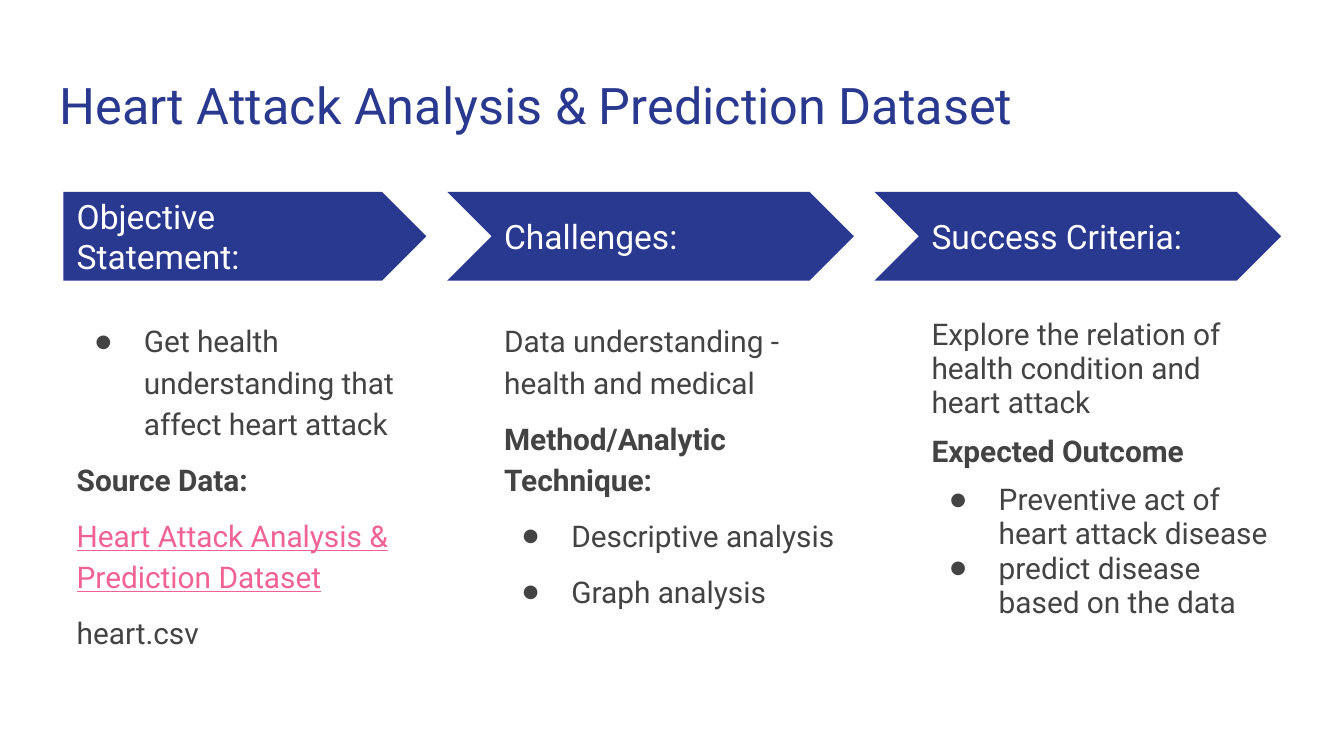
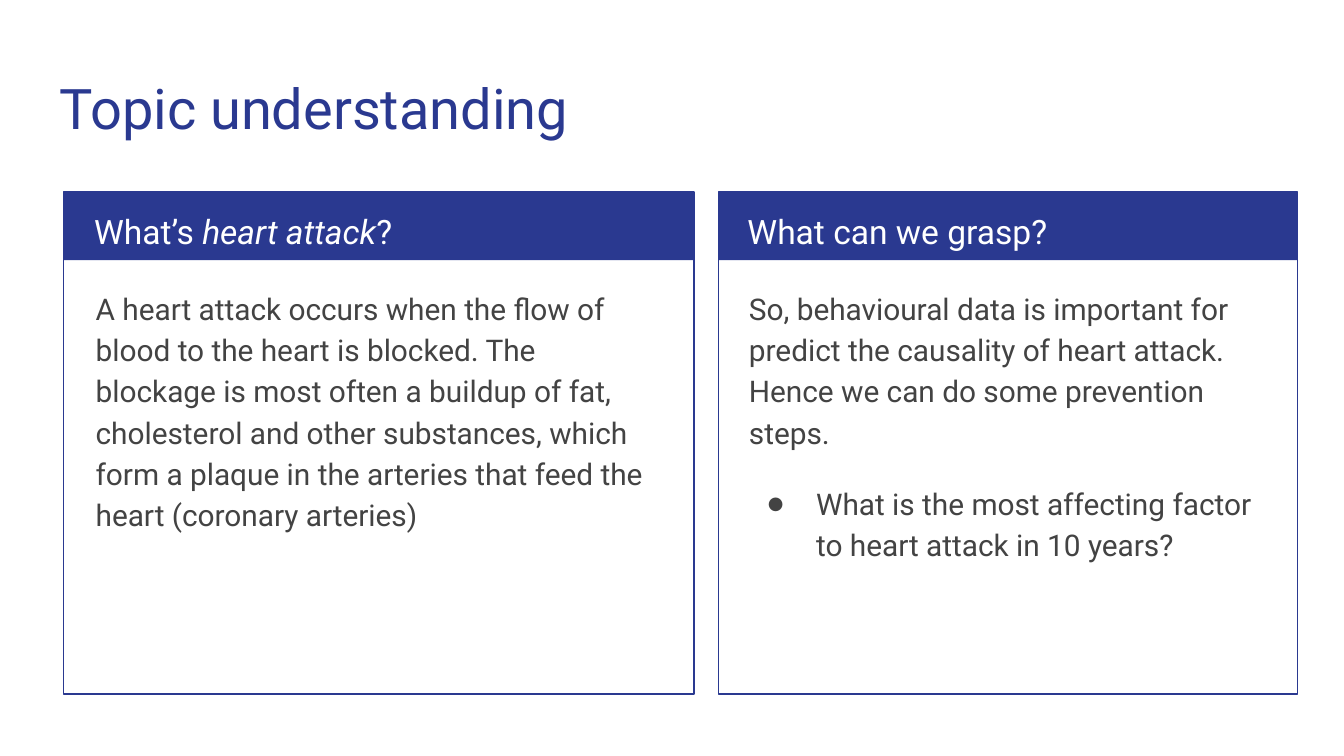
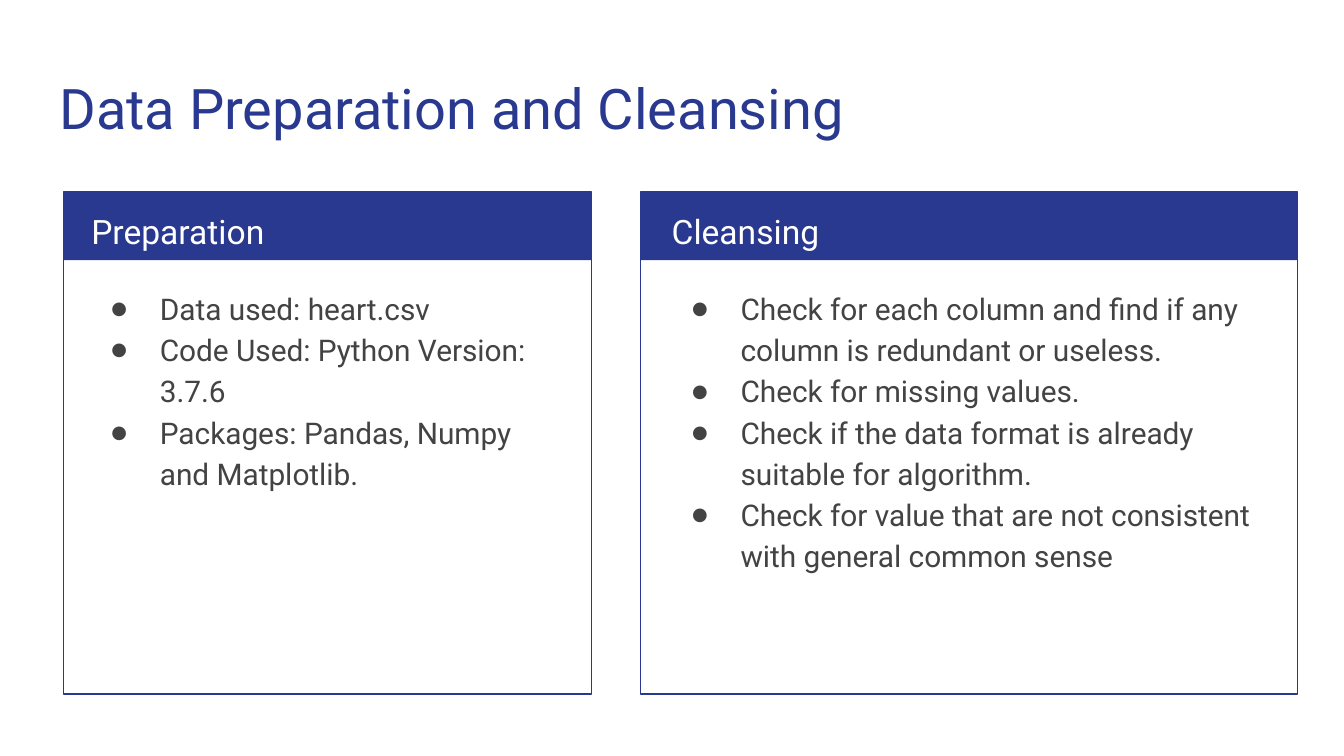
from dataclasses import dataclass

from lxml import etree
from pptx import Presentation
from pptx.dml.color import RGBColor
from pptx.enum.shapes import MSO_SHAPE
from pptx.enum.text import MSO_ANCHOR
from pptx.oxml.ns import qn
from pptx.util import Inches, Pt

PENTAGON = MSO_SHAPE.PENTAGON
CHEVRON = MSO_SHAPE.CHEVRON
RECTANGLE = MSO_SHAPE.RECTANGLE
TOP, MIDDLE = MSO_ANCHOR.TOP, MSO_ANCHOR.MIDDLE

COLORS = {"navy": "2A3990", "text": "434343", "link": "F06292", "white": "FFFFFF"}
FONT = "Roboto"
SLIDE_WIDTH = Inches(10)
SLIDE_HEIGHT = SLIDE_WIDTH * 9 // 16

# The grid has square cells, 100 of them across the slide.
CELL = SLIDE_WIDTH / 100
MARGIN = 4.73
RIGHT_EDGE = 96.55
BAND_TOP = 14.28
INSET = 1
BULLET_INDENT, BULLET_HANG = 5, 3.6
BULLET_SCALE = "60000"

# Steps: arrows with a text column under each
STEP_PITCH = 31.8
STEP_WIDTH = 27
NOTCH = 3.25
ARROW_HEIGHT = 6.6

# Panels: a framed box with a header band
HEADER_HEIGHT = 5.08
PANEL_HEIGHT = 37.35


@dataclass
class Run:
    text: str
    color: str = "text"
    bold: bool = False
    italic: bool = False
    underline: bool = False


@dataclass
class Para:
    runs: list
    size: int = 16
    bullet: bool = False
    spacing: float = 1.15
    before: int = 0
    after: int = 0


def body(text, bold=False, **layout):
    return Para([Run(text, bold=bold)], **layout)


def bullets(*texts, **layout):
    return [body(text, bullet=True, **layout) for text in texts]


def cells(*counts):
    return [round(count * CELL) for count in counts]


def rgb(name):
    return RGBColor.from_string(COLORS[name])


def add_bullet(paragraph):
    props = paragraph._p.get_or_add_pPr()
    indent, hang = cells(BULLET_INDENT, BULLET_HANG)
    props.set("marL", str(indent))
    props.set("indent", str(-hang))
    color = etree.SubElement(props, qn("a:buClr"))
    etree.SubElement(color, qn("a:srgbClr"), val=COLORS["text"])
    etree.SubElement(props, qn("a:buSzPct"), val=BULLET_SCALE)
    etree.SubElement(props, qn("a:buFont"), typeface=FONT)
    etree.SubElement(props, qn("a:buChar"), char="●")


def add_text(slide, left, top, width, height, paras, anchor=TOP):
    frame = slide.shapes.add_textbox(*cells(left, top, width, height)).text_frame
    frame.word_wrap = True
    frame.vertical_anchor = anchor
    inset, = cells(INSET)
    frame.margin_left = frame.margin_right = inset
    frame.margin_top = frame.margin_bottom = inset
    for index, para in enumerate(paras):
        paragraph = frame.add_paragraph() if index else frame.paragraphs[0]
        paragraph.line_spacing = para.spacing
        paragraph.space_before = Pt(para.before)
        paragraph.space_after = Pt(para.after)
        if para.bullet:
            add_bullet(paragraph)
        for part in para.runs:
            run = paragraph.add_run()
            run.text = part.text
            font = run.font
            font.name, font.size = FONT, Pt(para.size)
            font.bold, font.italic = part.bold, part.italic
            font.underline = part.underline
            font.color.rgb = rgb(part.color)


def add_block(slide, kind, left, top, width, height, filled=True):
    """A solid navy shape, or only its thin navy outline."""
    block = slide.shapes.add_shape(kind, *cells(left, top, width, height))
    block.shadow.inherit = False
    if filled:
        block.fill.solid()
        block.fill.fore_color.rgb = rgb("navy")
        block.line.fill.background()
    else:
        block.fill.background()
        block.line.color.rgb = rgb("navy")
        block.line.width = Pt(0.75)


def add_titled_slide(deck, title, size=30):
    slide = deck.slides.add_slide(deck.slide_layouts[6])
    heading = Para([Run(title, "navy")], size=size, spacing=1)
    add_text(slide, 3.44, 4.5, 93.2, 6.6, [heading])
    return slide


def add_step(slide, index, heading, paras):
    left = MARGIN + index * STEP_PITCH
    notch = NOTCH if index else 0
    add_block(slide, CHEVRON if index else PENTAGON,
              left - notch, BAND_TOP, STEP_WIDTH + notch, ARROW_HEIGHT)
    label = Para([Run(heading, "white")], size=18, spacing=1)
    add_text(slide, left, BAND_TOP + 1.6, 24.7, 3.4, [label], MIDDLE)
    add_text(slide, left, 22.65, STEP_WIDTH, 29, paras)


def add_panel(slide, left, width, heading, paras):
    add_block(slide, RECTANGLE, left, BAND_TOP, width, HEADER_HEIGHT)
    add_block(slide, RECTANGLE, left, BAND_TOP, width, PANEL_HEIGHT, filled=False)
    add_text(slide, left + 0.0275 * width, BAND_TOP, 0.95 * width, 5,
             [Para(heading, size=18)])
    add_text(slide, left + 0.03 * width, 20.24, 0.943 * width, 30.6, paras)


def add_panel_pair(slide, first_width, second_width, first, second):
    """Two panels, set against the left margin and the right edge."""
    add_panel(slide, MARGIN, first_width, *first)
    add_panel(slide, RIGHT_EDGE - second_width, second_width, *second)


def build_overview(deck):
    title = "Heart Attack Analysis & Prediction Dataset"
    slide = add_titled_slide(deck, title, size=27)
    steps = [
        ("Objective Statement:", [
            *bullets("Get health understanding that affect heart attack"),
            body("Source Data:", bold=True, before=8),
            Para([Run(title, "link", underline=True)], before=8),
            body("heart.csv", before=8, after=8),
        ]),
        ("Challenges:", [
            body("Data understanding - health and medical"),
            body("Method/Analytic Technique:", bold=True, before=8),
            *bullets("Descriptive analysis", "Graph analysis", before=8),
        ]),
        ("Success Criteria:", [
            body("Explore the relation of health condition and heart attack",
                 spacing=0.95),
            body("Expected Outcome", bold=True, spacing=0.95, before=8),
            *bullets("Preventive act of heart attack disease", spacing=0.95, before=8),
            *bullets("predict disease based on the data", spacing=0.95),
        ]),
    ]
    for index, (heading, paras) in enumerate(steps):
        add_step(slide, index, heading, paras)


def build_topic(deck):
    slide = add_titled_slide(deck, "Topic understanding")
    definition = body(
        "A heart attack occurs when the flow of blood to the heart is blocked. "
        "The blockage is most often a buildup of fat, cholesterol and other "
        "substances, which form a plaque in the arteries that feed the heart "
        "(coronary arteries)", after=16)
    question = [Run("What’s ", "white"),
                Run("heart attack", "white", italic=True),
                Run("?", "white")]
    lessons = [
        body("So, behavioural data is important for predict the causality of "
             "heart attack. Hence we can do some prevention steps."),
        *bullets("What is the most affecting factor to heart attack in 10 years?",
                 before=16),
    ]
    add_panel_pair(slide, 46.9, 43.1, (question, [definition]),
                   ([Run("What can we grasp?", "white")], lessons))


def build_preparation(deck):
    slide = add_titled_slide(deck, "Data Preparation and Cleansing")
    preparation = bullets(
        "Data used: heart.csv",
        "Code Used: Python Version: 3.7.6",
        "Packages: Pandas, Numpy and Matplotlib.",
    )
    cleansing = bullets(
        "Check for each column and find if any column is redundant or useless.",
        "Check for missing values.",
        "Check if the data format is already suitable for algorithm.",
        "Check for value that are not consistent with general common sense",
    )
    add_panel_pair(slide, 39.3, 48.9,
                   ([Run("Preparation", "white")], preparation),
                   ([Run("Cleansing", "white")], cleansing))


def main():
    deck = Presentation()
    deck.slide_width, deck.slide_height = SLIDE_WIDTH, SLIDE_HEIGHT
    build_overview(deck)
    build_topic(deck)
    build_preparation(deck)
    deck.save("out.pptx")


if __name__ == "__main__":
    main()
